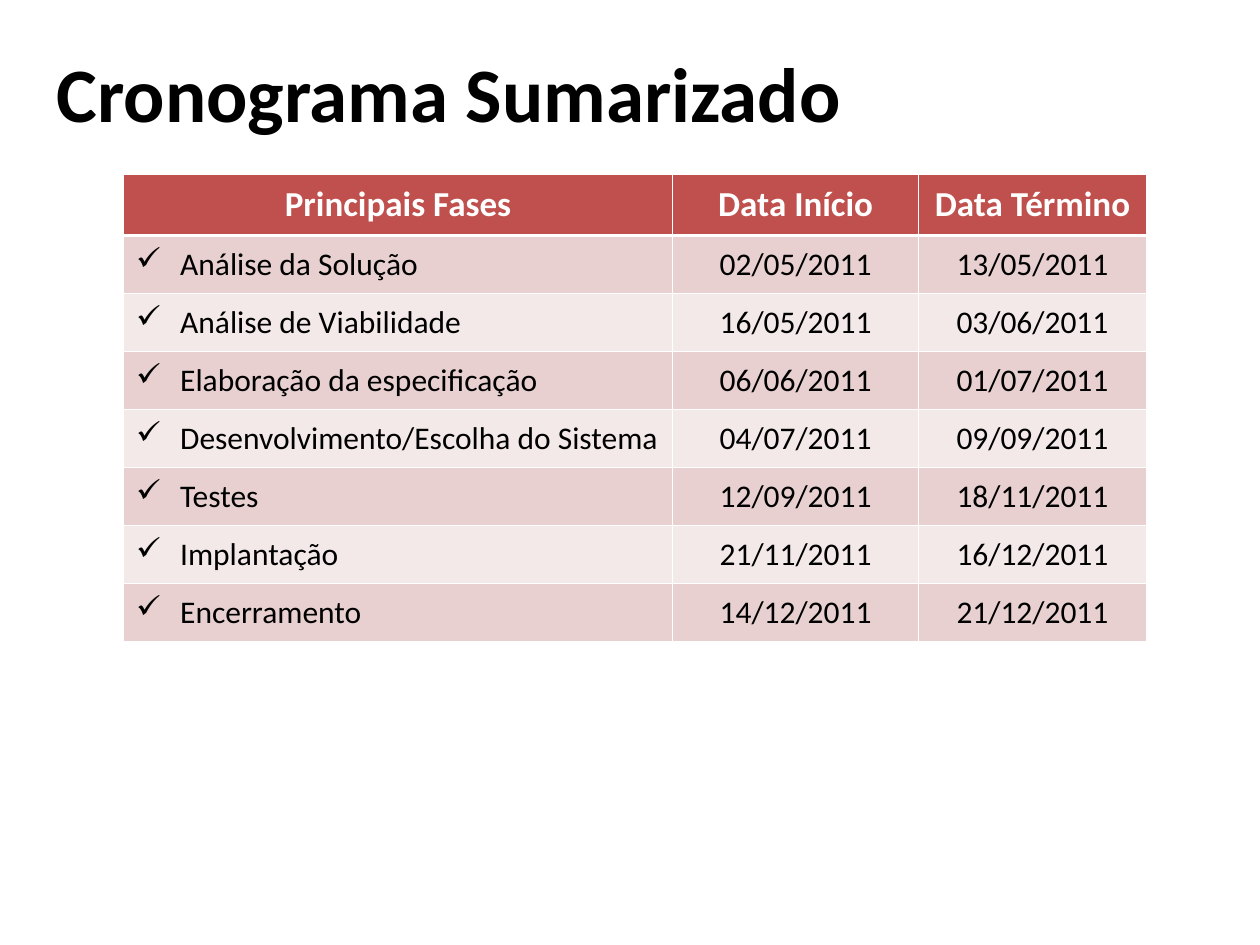
from dataclasses import dataclass

from lxml.etree import SubElement
from pptx import Presentation
from pptx.dml.color import RGBColor
from pptx.enum.text import MSO_ANCHOR, PP_ALIGN
from pptx.oxml.ns import qn
from pptx.util import Inches, Pt


@dataclass(frozen=True)
class Theme:
    font: str = "Calibri"
    black: str = "000000"
    white: str = "FFFFFF"
    header_fill: str = "C0504D"
    band_fills: tuple = ("E8D0D0", "F4E9E9")
    title_size: int = 44
    header_size: int = 20
    body_size: int = 18
    thin_line: float = 0.45
    header_line: float = 1.47


THEME = Theme()
HEADERS = ("Principais Fases", "Data Início", "Data Término")
PHASES = (
    ("Análise da Solução", "02/05/2011", "13/05/2011"),
    ("Análise de Viabilidade", "16/05/2011", "03/06/2011"),
    ("Elaboração da especificação", "06/06/2011", "01/07/2011"),
    ("Desenvolvimento/Escolha do Sistema", "04/07/2011", "09/09/2011"),
    ("Testes", "12/09/2011", "18/11/2011"),
    ("Implantação", "21/11/2011", "16/12/2011"),
    ("Encerramento", "14/12/2011", "21/12/2011"),
)
COLUMN_WIDTHS = (4.36, 1.95, 1.81)
HEADER_HEIGHT = 0.49
ROW_HEIGHT = 0.46
CHECK_INDENT = 0.35


def add_run(paragraph, text, size, color, bold=False):
    run = paragraph.add_run()
    run.text = text
    run.font.name = THEME.font
    run.font.size = Pt(size)
    run.font.bold = bold
    run.font.color.rgb = RGBColor.from_string(color)


def add_check_bullet(paragraph):
    properties = paragraph._p.get_or_add_pPr()
    properties.set("marL", str(Inches(CHECK_INDENT)))
    properties.set("indent", str(-Inches(CHECK_INDENT)))
    bullet_color = SubElement(properties, qn("a:buClr"))
    SubElement(bullet_color, qn("a:srgbClr"), val=THEME.black)
    SubElement(properties, qn("a:buChar"), char="✓")


def set_borders(cell, top, bottom):
    properties = cell._tc.get_or_add_tcPr()
    widths = {"L": THEME.thin_line, "R": THEME.thin_line, "T": top, "B": bottom}
    for side, width in widths.items():
        line = SubElement(properties, qn(f"a:ln{side}"), w=str(Pt(width)))
        fill = SubElement(line, qn("a:solidFill"))
        SubElement(fill, qn("a:srgbClr"), val=THEME.white)


def format_cell(cell, text, row, column):
    is_header = row == 0
    set_borders(
        cell,
        top=THEME.header_line if row == 1 else THEME.thin_line,
        bottom=THEME.header_line if is_header else THEME.thin_line,
    )
    fill = THEME.header_fill if is_header else THEME.band_fills[(row - 1) % 2]
    cell.fill.solid()
    cell.fill.fore_color.rgb = RGBColor.from_string(fill)
    cell.vertical_anchor = MSO_ANCHOR.MIDDLE
    paragraph = cell.text_frame.paragraphs[0]
    if is_header:
        paragraph.alignment = PP_ALIGN.CENTER
        add_run(paragraph, text, THEME.header_size, THEME.white, bold=True)
        return
    if column == 0:
        paragraph.alignment = PP_ALIGN.LEFT
        add_check_bullet(paragraph)
    else:
        paragraph.alignment = PP_ALIGN.CENTER
    add_run(paragraph, text, THEME.body_size, THEME.black)


def place_title(slide, left, top, width, height):
    title = slide.shapes.title
    title.left, title.top, title.width, title.height = left, top, width, height
    title.text_frame.vertical_anchor = MSO_ANCHOR.MIDDLE
    paragraph = title.text_frame.paragraphs[0]
    paragraph.alignment = PP_ALIGN.LEFT
    add_run(paragraph, "Cronograma Sumarizado", THEME.title_size, THEME.black, bold=True)


def place_schedule(slide, left, top, width, height):
    rows = (HEADERS, *PHASES)
    table = slide.shapes.add_table(
        len(rows), len(HEADERS), left, top, width, height
    ).table
    for column, column_width in zip(table.columns, COLUMN_WIDTHS):
        column.width = Inches(column_width)
    for row, values in enumerate(rows):
        table.rows[row].height = Inches(ROW_HEIGHT if row else HEADER_HEIGHT)
        for column, text in enumerate(values):
            format_cell(table.cell(row, column), text, row, column)


def main():
    presentation = Presentation()
    presentation.slide_width = Inches(10)
    presentation.slide_height = Inches(7.5)
    slide = presentation.slides.add_slide(presentation.slide_layouts[5])
    place_title(slide, Inches(0.35), Inches(0.22), Inches(9.15), Inches(1.01))
    place_schedule(
        slide,
        Inches(0.98),
        Inches(1.38),
        Inches(sum(COLUMN_WIDTHS)),
        Inches(HEADER_HEIGHT + ROW_HEIGHT * len(PHASES)),
    )
    presentation.save("out.pptx")


if __name__ == "__main__":
    main()
